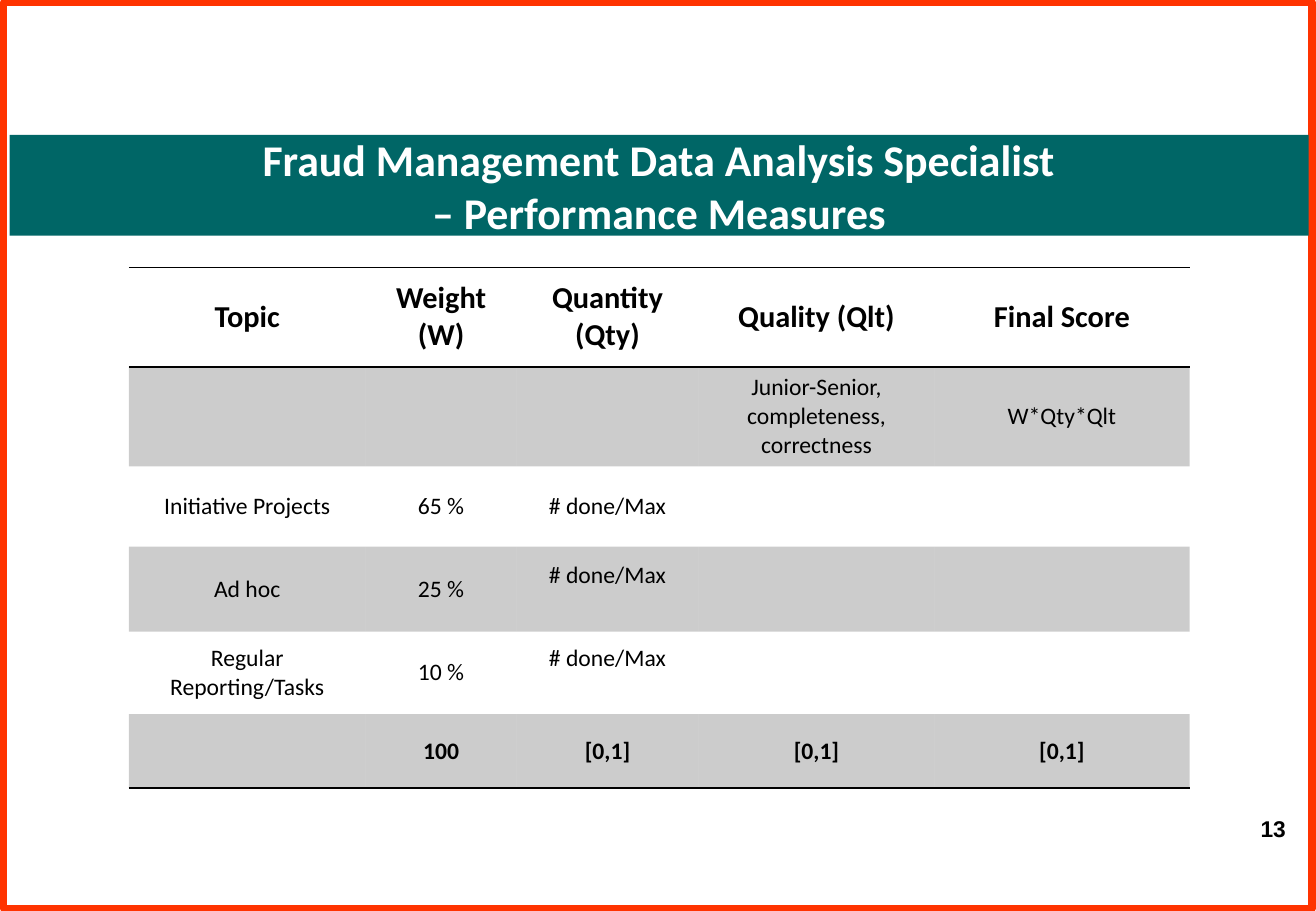
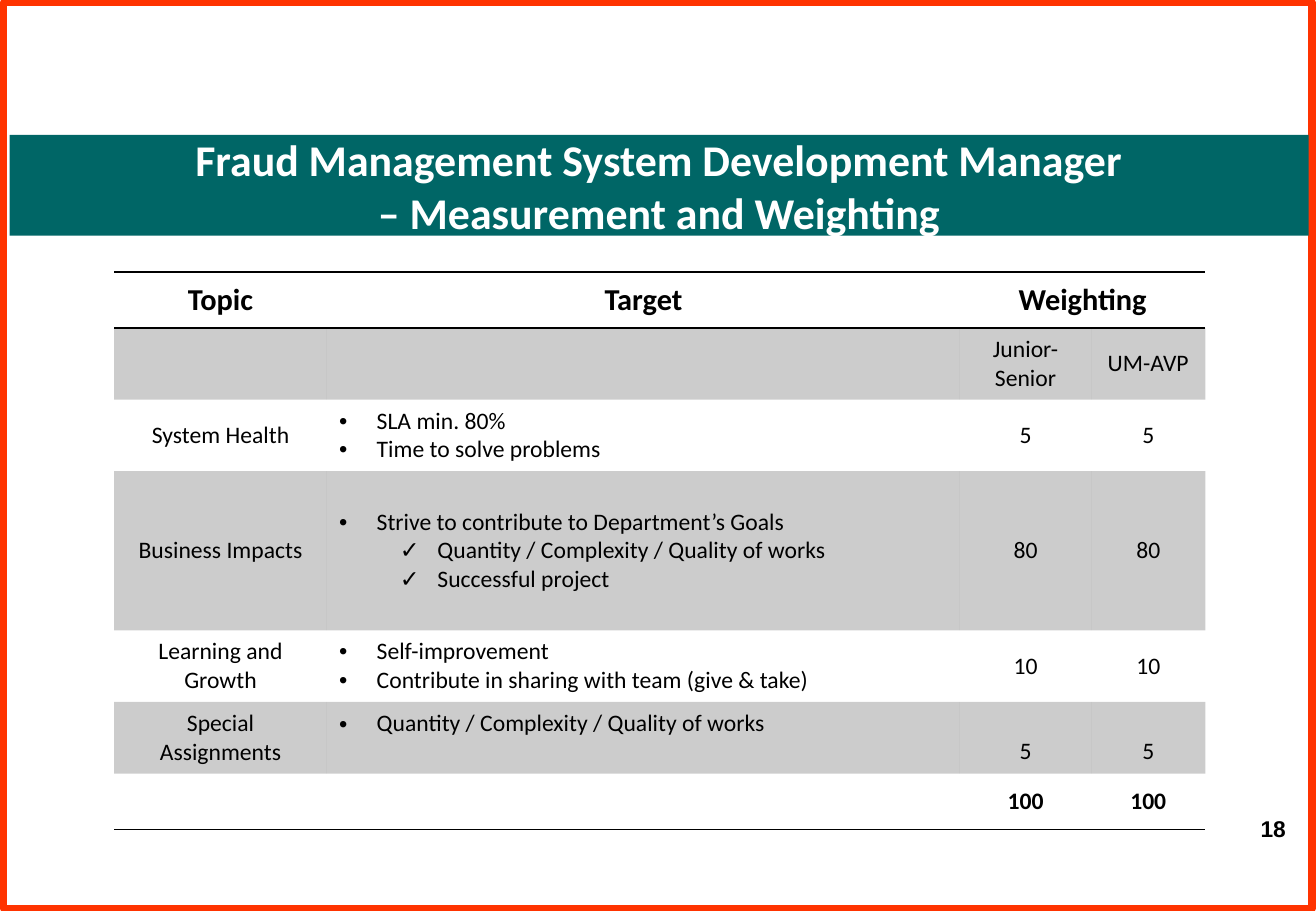
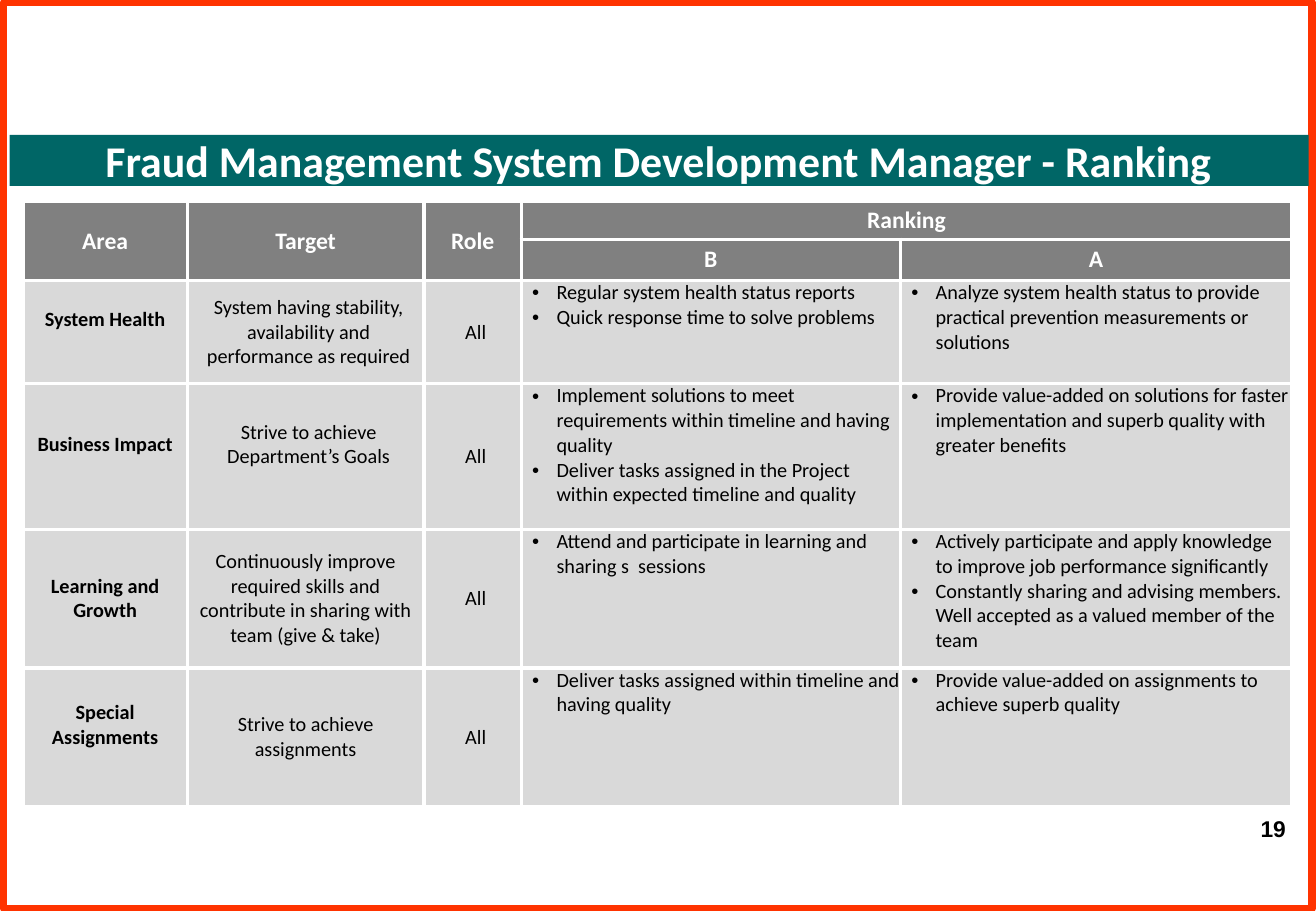
"""Build three fraud management slides with scoring and ranking tables."""
from lxml import etree
from pptx import Presentation
from pptx import util as u
from pptx.dml.color import RGBColor
from pptx.enum import shapes, text
from pptx.oxml.ns import qn

PX = 9144
WHITE, BLACK, TEAL, ORANGE = "FFFFFF", "000000", "006666", "FF3300"
CENTER, LEFT, RIGHT = text.PP_ALIGN.CENTER, text.PP_ALIGN.LEFT, text.PP_ALIGN.RIGHT
MIDDLE, TOP = text.MSO_ANCHOR.MIDDLE, text.MSO_ANCHOR.TOP
NO_STYLE = "{2D5ABB26-0587-4C30-8999-92F81FD0307C}"
MARGINS = ("margin_left", "margin_top", "margin_right", "margin_bottom")
FRAME = (3, 2, 1077, 746)
BAND = (8, 111, 1069)
BAND_HEIGHTS = {1: 42, 2: 83}
TITLE_INSET = 29
NUMBER = (1026, 666, 42, 32)

TITLE = {"size": 26, "bold": True, "color": WHITE, "name": "Calibri"}
PAGE = {"size": 13.5, "bold": True, "color": BLACK, "name": "Arial"}
HEAD = {"size": 18, "bold": True, "color": BLACK, "name": "Calibri"}
BODY = {**HEAD, "size": 14, "bold": False}
TOTAL = {**BODY, "bold": True}
RANK_HEAD = {**TOTAL, "color": WHITE}
RANK_BODY = {**BODY, "size": 12}
RANK_AREA = {**RANK_BODY, "bold": True}

DONE = "# done/Max"
GOALS = "Quantity / Complexity / Quality of works"

SCORE_STYLE = {"insets": (10, 5, 10, 5), "indent": 31, "bullet_anchor": MIDDLE}
RANK_STYLE = {"insets": (0, 0, 0, 0), "indent": 20, "bullet_anchor": TOP}

SLIDES = [
    {
        "page": 13,
        "title": ["Fraud Management Data Analysis Specialist", "– Performance Measures"],
        "at": (106, 220),
        "cols": [195, 124, 150, 194, 210],
        "heights": [82, 82, 66, 70, 68, 61],
        "merges": [],
        "insets": {(3, 2): (10, 5, 10, 28), (4, 2): (10, 5, 10, 28)},
        "rows": [
            ["Topic", "Weight (W)", "Quantity (Qty)", "Quality (Qlt)", "Final Score"],
            ["", "", "", "Junior-Senior, completeness, correctness", "W*Qty*Qlt"],
            ["Initiative Projects", "65 %", DONE, "", ""],
            ["Ad hoc", "25 %", DONE, "", ""],
            ["Regular Reporting/Tasks", "10 %", DONE, "", ""],
            ["", "100", "[0,1]", "[0,1]", "[0,1]"],
        ],
    },
    {
        "page": 18,
        "title": ["Fraud Management System Development Manager", "– Measurement and Weighting"],
        "at": (94, 224),
        "cols": [175, 521, 108, 94],
        "heights": [46, 59, 59, 131, 59, 59, 46],
        "merges": [(0, 2, 0, 3)],
        "insets": {(5, 1): (10, 5, 10, 28), (5, 2): (10, 28, 10, 5), (5, 3): (10, 28, 10, 5)},
        "rows": [
            ["Topic", "Target", "Weighting", ""],
            ["", "", "Junior-Senior", "UM-AVP"],
            ["System Health", [("•", "SLA min. 80%"), ("•", "Time to solve problems")], "5", "5"],
            ["Business Impacts", [("•", "Strive to contribute to Department’s Goals"),
                                  ("✓", GOALS), ("✓", "Successful project")], "80", "80"],
            ["Learning and Growth", [("•", "Self-improvement"),
                                     ("•", "Contribute in sharing with team (give & take)")], "10", "10"],
            ["Special Assignments", [("•", GOALS)], "5", "5"],
            ["", "", "100", "100"],
        ],
    },
    {
        "page": 19,
        "title": ["Fraud Management System Development Manager - Ranking"],
        "at": (19, 166),
        "cols": [135, 195, 80, 312, 322],
        "heights": [31, 34, 85, 120, 114, 114],
        "merges": [(0, 0, 1, 0), (0, 1, 1, 1), (0, 2, 1, 2), (0, 3, 0, 4)],
        "insets": {(2, 0): (0, 0, 0, 20), (3, 0): (0, 0, 0, 20), (5, 0): (0, 0, 0, 20),
                   (2, 1): (5, 0, 0, 0), (3, 1): (5, 0, 0, 20),
                   (4, 1): (10, 5, 10, 5), (5, 1): (10, 5, 10, 5),
                   **{(row, 2): (5, 0, 0, 0) for row in range(2, 6)},
                   **{(row, col): (9, 0, 0, 0) for row in range(2, 6) for col in (3, 4)}},
        "ranking": True,
        "rows": [
            ["Area", "Target", "Role", "Ranking", ""],
            ["", "", "", "B", "A"],
            ["System Health", "System having stability, availability and performance as required", "All",
             [("•", "Regular system health status reports"),
              ("•", "Quick response time to solve problems")],
             [("•", "Analyze system health status to provide practical prevention measurements or solutions")]],
            ["Business Impact", "Strive to achieve Department’s Goals", "All",
             [("•", "Implement solutions to meet requirements within timeline and having quality"),
              ("•", "Deliver tasks assigned in the Project within expected timeline and quality")],
             [("•", "Provide value-added on solutions for faster implementation and superb quality "
                    "with greater benefits")]],
            ["Learning and Growth", "Continuously improve required skills and contribute in sharing "
             "with team (give & take)", "All",
             [("•", "Attend and participate in learning and sharing s  sessions")],
             [("•", "Actively participate and apply knowledge to improve job performance significantly"),
              ("•", "Constantly sharing and advising members. Well accepted as a valued member of the team")]],
            ["Special Assignments", "Strive to achieve assignments", "All",
             [("•", "Deliver tasks assigned within timeline and having quality")],
             [("•", "Provide value-added on assignments to achieve superb quality")]],
        ],
    },
]


def px(*values):
    return [round(v * PX) for v in values]


def rgb(code):
    return RGBColor.from_string(code)


def set_attrs(obj, values):
    for name, value in values.items():
        setattr(obj, name, value)


def add_run(p, words, fmt, align=CENTER):
    p.alignment = align
    r = p.add_run()
    r.text = words
    set_attrs(r.font, {"name": fmt["name"], "size": u.Pt(fmt["size"]), "bold": fmt["bold"]})
    r.font.color.rgb = rgb(fmt["color"])


def nth_paragraph(tf, i):
    return tf.add_paragraph() if i else tf.paragraphs[0]


def add_bullet(p, mark, indent):
    level = 1 if mark == "✓" else 0
    p.level = level
    pPr = p._p.get_or_add_pPr()
    left, hang = px(level * 50 + indent, -indent)
    pPr.set("marL", str(left))
    pPr.set("indent", str(hang))
    etree.SubElement(pPr, qn("a:buFont")).set("typeface", "Arial")
    etree.SubElement(pPr, qn("a:buChar")).set("char", mark)


def add_rect(s, box, fill=None, line=None):
    sp = s.shapes.add_shape(shapes.MSO_SHAPE.RECTANGLE, *px(*box))
    sp.shadow.inherit = False
    if fill:
        sp.fill.solid()
        sp.fill.fore_color.rgb = rgb(fill)
    else:
        sp.fill.background()
    if line:
        sp.line.color.rgb = rgb(line)
        sp.line.width = u.Pt(4.5)
    else:
        sp.line.fill.background()


def add_text(s, box, lines, fmt, align=CENTER, anchor=MIDDLE, wrap=True):
    tf = s.shapes.add_textbox(*px(*box)).text_frame
    set_attrs(tf, {"word_wrap": wrap, "vertical_anchor": anchor})
    for i, words in enumerate(lines):
        add_run(nth_paragraph(tf, i), words, fmt, align)


def add_base(s, title, page):
    add_text(s, NUMBER, [str(page)], PAGE, RIGHT, TOP, wrap=False)
    add_rect(s, FRAME, line=ORANGE)
    left, top, width = BAND
    height = BAND_HEIGHTS[len(title)]
    add_rect(s, (left, top, width, height), fill=TEAL)
    add_text(s, (left + TITLE_INSET, top, width - 2 * TITLE_INSET, height), title, TITLE)


def set_border(cell, sides, color, width):
    tcPr = cell._tc.get_or_add_tcPr()
    for side in sides:
        ln = etree.SubElement(tcPr, qn("a:ln" + side), w=str(u.Pt(width)))
        fill = etree.SubElement(ln, qn("a:solidFill"))
        etree.SubElement(fill, qn("a:srgbClr"), val=color)


def set_fill(cell, color, alpha=None):
    if not color:
        cell.fill.background()
        return
    cell.fill.solid()
    cell.fill.fore_color.rgb = rgb(color)
    if alpha:
        clr = cell._tc.tcPr.find(qn("a:solidFill")).find(qn("a:srgbClr"))
        etree.SubElement(clr, qn("a:alpha"), val=str(alpha * 1000))


def style_score(cell, row, col, last):
    sides = "TB" if row == 0 else "B" if row == last else ""
    set_border(cell, sides, BLACK, 1)
    set_fill(cell, BLACK if row % 2 else None, 20)
    return HEAD if row == 0 else TOTAL if row == last else BODY


def style_rank(cell, row, col, last):
    set_border(cell, "LRTB", WHITE, 2.25)
    set_fill(cell, "808080" if row < 2 else "D9D9D9")
    return RANK_HEAD if row < 2 else RANK_BODY if col else RANK_AREA


def fill_cell(cell, content, fmt, insets, style):
    bulleted = isinstance(content, list)
    set_attrs(cell, dict(zip(MARGINS, px(*insets))))
    cell.vertical_anchor = style["bullet_anchor"] if bulleted else MIDDLE
    tf = cell.text_frame
    if bulleted:
        for i, (mark, words) in enumerate(content):
            p = nth_paragraph(tf, i)
            add_bullet(p, mark, style["indent"])
            add_run(p, words, fmt, LEFT)
    elif content:
        add_run(tf.paragraphs[0], content, fmt)


def add_grid(s, data):
    rows, cols, heights = data["rows"], data["cols"], data["heights"]
    style, paint = (RANK_STYLE, style_rank) if data.get("ranking") else (SCORE_STYLE, style_score)
    box = (*data["at"], sum(cols), sum(heights))
    tb = s.shapes.add_table(len(rows), len(cols), *px(*box)).table
    set_attrs(tb, {"first_row": False, "horz_banding": False})
    tb._tbl.tblPr[0].text = NO_STYLE
    for column, width in zip(tb.columns, px(*cols)):
        column.width = width
    for row, height in zip(tb.rows, px(*heights)):
        row.height = height
    for top, left, bottom, right in data["merges"]:
        tb.cell(top, left).merge(tb.cell(bottom, right))
    for i, row in enumerate(rows):
        for j, content in enumerate(row):
            cell = tb.cell(i, j)
            fmt = paint(cell, i, j, len(rows) - 1)
            fill_cell(cell, content, fmt, data["insets"].get((i, j), style["insets"]), style)


def main():
    prs = Presentation()
    prs.slide_width, prs.slide_height = px(1083, 750)
    for data in SLIDES:
        s = prs.slides.add_slide(prs.slide_layouts[6])
        add_base(s, data["title"], data["page"])
        add_grid(s, data)
    prs.save("out.pptx")


if __name__ == "__main__":
    main()
